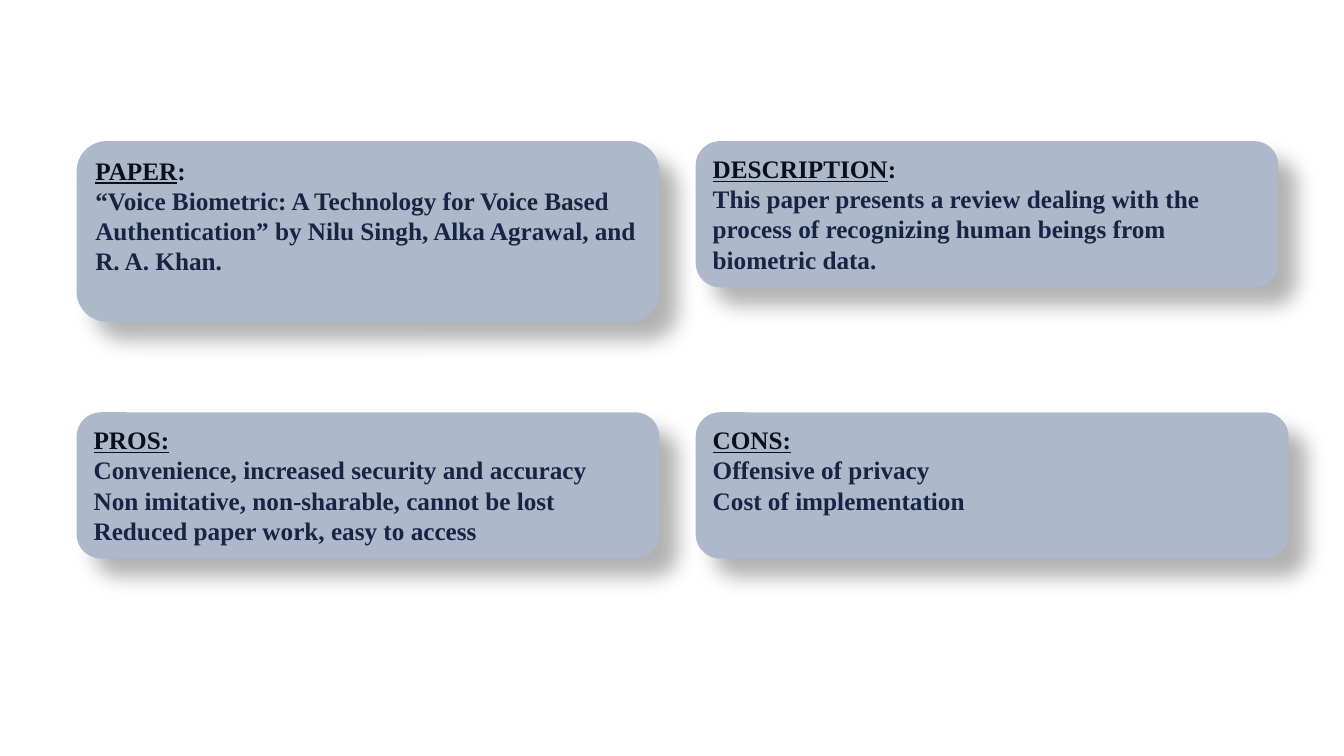
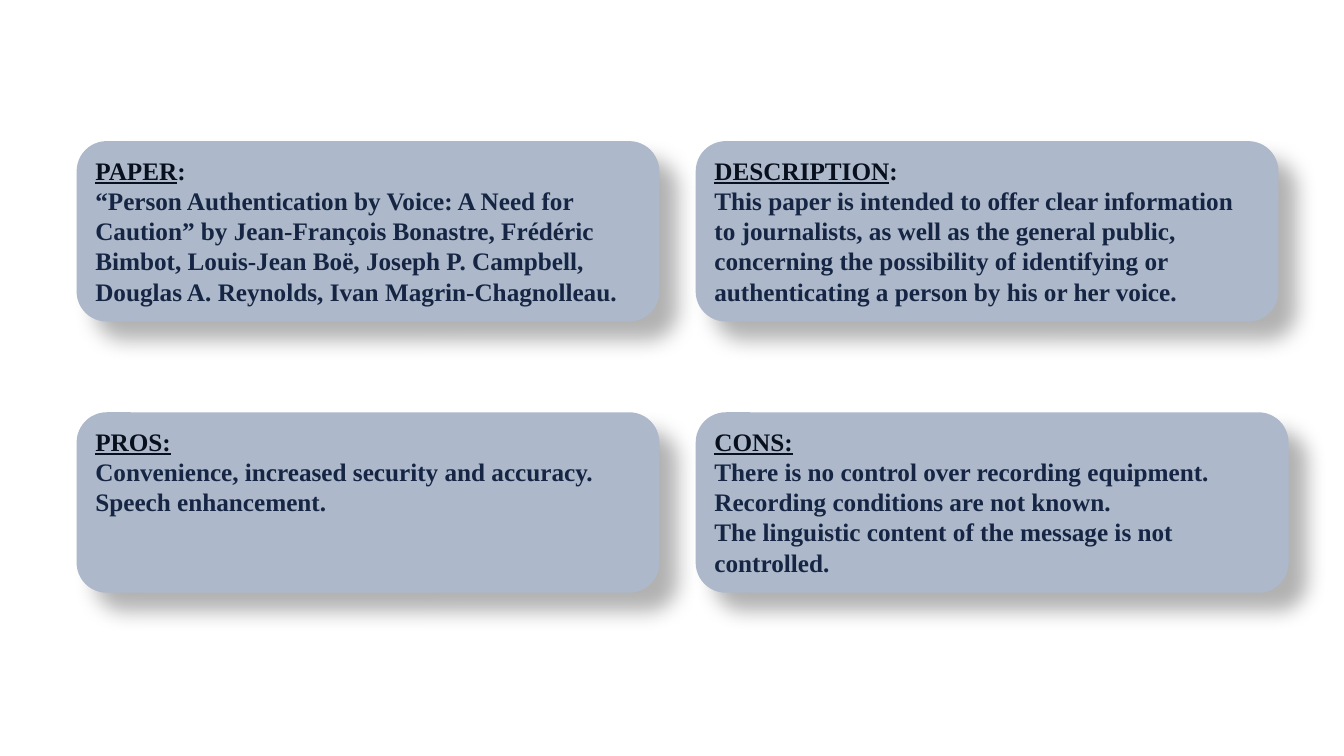
from lxml.etree import SubElement
from pptx import Presentation
from pptx.dml.color import RGBColor
from pptx.enum.shapes import MSO_SHAPE
from pptx.enum.text import MSO_ANCHOR, PP_ALIGN
from pptx.oxml.ns import qn
from pptx.util import Inches, Pt

CARD_FILL = RGBColor(0xAD, 0xB9, 0xCA)
HEADING_COLOR = RGBColor(0x09, 0x10, 0x1D)
BODY_COLOR = RGBColor(0x15, 0x25, 0x43)
FONT = "Times New Roman"
FONT_SIZE = Pt(18)

LEFT, RIGHT = 0.76, 6.9
TOP, BOTTOM = 1.4, 4.09
CARD_WIDTH, CONS_WIDTH = 5.78, 5.88
SHORT, TALL = 1.45, 1.79

# Card position: left, top, width
PAPER = (LEFT, TOP, CARD_WIDTH)
DESCRIPTION = (RIGHT, TOP, CARD_WIDTH)
PROS = (LEFT, BOTTOM, CARD_WIDTH)
CONS = (RIGHT, BOTTOM, CONS_WIDTH)

# Each card: position, height, underlined heading, plain heading ending, body
REVIEWS = [
    [
        (PAPER, TALL, "PAPER", ":", [
            "“Voice Biometric: A Technology for Voice Based Authentication” "
            "by Nilu Singh, Alka Agrawal, and R. A. Khan."]),
        (DESCRIPTION, SHORT, "DESCRIPTION", ":", [
            "This paper presents a review dealing with the process of "
            "recognizing human beings from biometric data."]),
        (PROS, SHORT, "PROS:", "", [
            "Convenience, increased security and accuracy",
            "Non imitative, non-sharable, cannot be lost",
            "Reduced paper work, easy to access"]),
        (CONS, SHORT, "CONS:", "", [
            "Offensive of privacy",
            "Cost of implementation"]),
    ],
    [
        (PAPER, TALL, "PAPER", ":", [
            "“Person Authentication by Voice: A Need for Caution” by "
            "Jean-François Bonastre, Frédéric Bimbot, Louis-Jean Boë, "
            "Joseph P. Campbell, Douglas A. Reynolds, Ivan Magrin-Chagnolleau."]),
        (DESCRIPTION, TALL, "DESCRIPTION", ":", [
            "This paper is intended to offer clear information to journalists, "
            "as well as the general public, concerning the possibility of "
            "identifying or authenticating a person by his or her voice."]),
        (PROS, TALL, "PROS:", "", [
            "Convenience, increased security and accuracy.",
            "Speech enhancement."]),
        (CONS, TALL, "CONS:", "", [
            "There is no control over recording equipment.",
            "Recording conditions are not known.",
            "The linguistic content of the message is not controlled."]),
    ],
]


def add_soft_shadow(shape):
    shape.shadow.inherit = False
    effects = shape._element.spPr.find(qn("a:effectLst"))
    shadow = SubElement(effects, qn("a:outerShdw"), blurRad=str(Pt(15)),
                        dist=str(Pt(18)), dir=str(45 * 60000),
                        algn="tl", rotWithShape="0")
    color = SubElement(shadow, qn("a:srgbClr"), val="000000")
    SubElement(color, qn("a:alpha"), val="30000")


def add_run(paragraph, text, color, underline=False):
    run = paragraph.add_run()
    run.text = text
    run.font.name = FONT
    run.font.size = FONT_SIZE
    run.font.bold = True
    run.font.underline = underline
    run.font.color.rgb = color


def add_card(slide, position, height, heading, ending, body):
    left, top, width = position
    card = slide.shapes.add_shape(
        MSO_SHAPE.ROUNDED_RECTANGLE,
        Inches(left), Inches(top), Inches(width), Inches(height))
    card.fill.solid()
    card.fill.fore_color.rgb = CARD_FILL
    card.line.fill.background()
    add_soft_shadow(card)

    frame = card.text_frame
    frame.word_wrap = True
    frame.vertical_anchor = MSO_ANCHOR.TOP
    paragraph = frame.paragraphs[0]
    paragraph.alignment = PP_ALIGN.LEFT
    add_run(paragraph, heading, HEADING_COLOR, underline=True)
    if ending:
        add_run(paragraph, ending, HEADING_COLOR)
    for text in body:
        paragraph = frame.add_paragraph()
        paragraph.alignment = PP_ALIGN.LEFT
        add_run(paragraph, text, BODY_COLOR)


def add_review_slide(presentation, cards):
    blank_layout = presentation.slide_layouts[6]
    slide = presentation.slides.add_slide(blank_layout)
    for card in cards:
        add_card(slide, *card)


def main():
    presentation = Presentation()
    presentation.slide_width = Inches(13.33)
    presentation.slide_height = Inches(7.5)
    for cards in REVIEWS:
        add_review_slide(presentation, cards)
    presentation.save("out.pptx")


if __name__ == "__main__":
    main()
